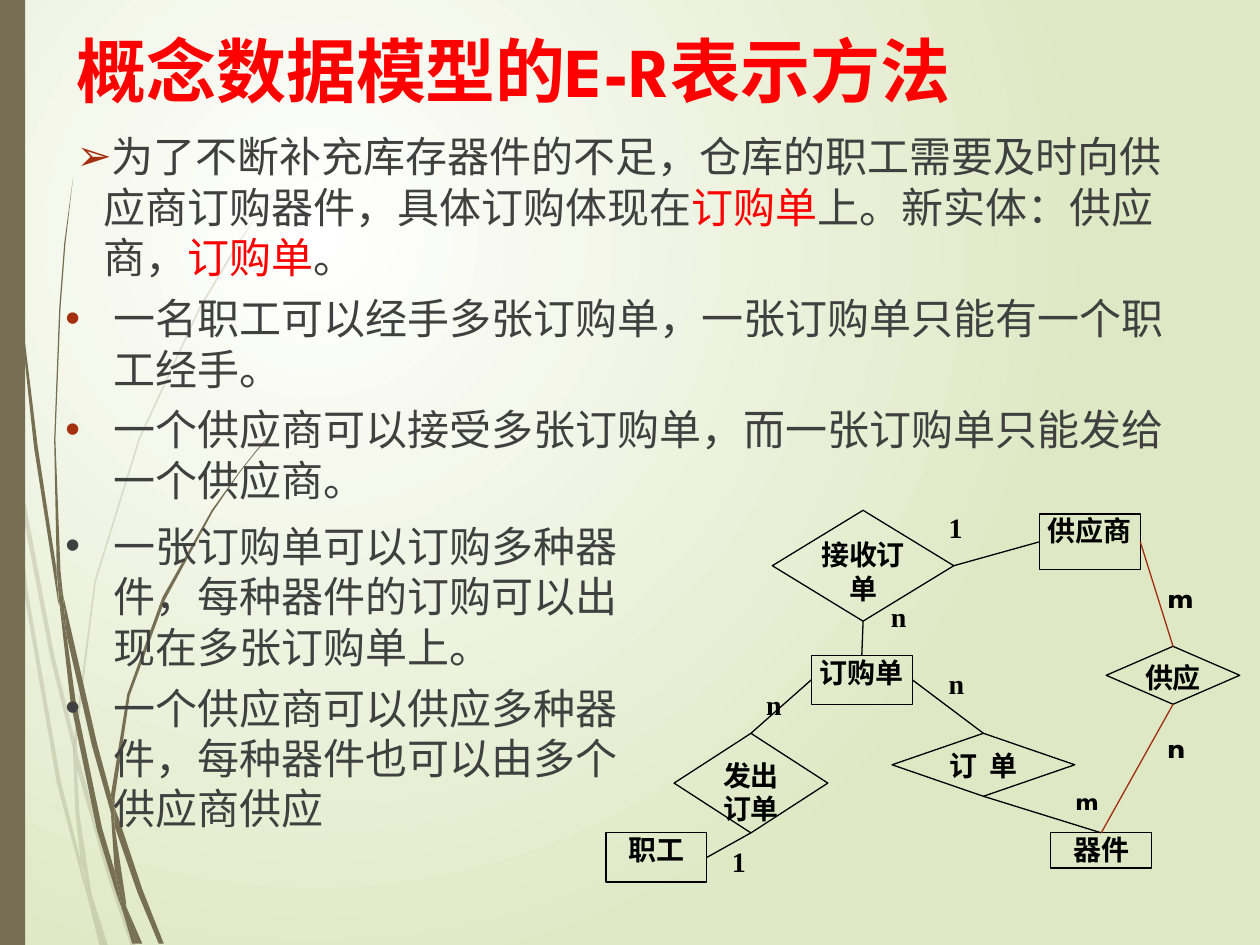
from dataclasses import dataclass
from typing import Optional

from lxml.etree import SubElement
from pptx import Presentation
from pptx.dml.color import RGBColor
from pptx.enum.shapes import MSO_CONNECTOR, MSO_SHAPE
from pptx.enum.text import MSO_ANCHOR, PP_ALIGN
from pptx.oxml import parse_xml
from pptx.oxml.ns import nsdecls, qn
from pptx.util import Inches, Pt

COLUMNS, ROWS = 1000, 750
WIDTH, HEIGHT = Inches(10), Inches(7.5)
SANS, SERIF = "League Spartan", "Times New Roman"
OLIVE, BLACK, GREY, RED = "766F54", "000000", "404040", "FF0000"
RUST, BRICK = "A53010", "9E2E0F"
TOP, LEFT, BOTTOM, RIGHT = range(4)
RECT, DIAMOND = MSO_SHAPE.RECTANGLE, MSO_SHAPE.DIAMOND


@dataclass
class Area:
    column: float
    row: float
    columns: float
    rows: float

    def box(self) -> tuple[int, int, int, int]:
        across, down = WIDTH / COLUMNS, HEIGHT / ROWS
        return (round(self.column * across), round(self.row * down),
                round(self.columns * across), round(self.rows * down))


@dataclass
class Node:
    text: str
    kind: MSO_SHAPE
    area: Area


@dataclass
class Link:
    start: str
    start_side: int
    end: str
    end_side: int
    color: str = BLACK


@dataclass
class Label:
    texts: list[str]
    area: Area
    font: str = SERIF
    size: int = 16
    inset: float = 0
    wrap: bool = True
    gap: int = 0


@dataclass
class Item:
    pieces: list[tuple[str, str]]
    bullet: str = "•"
    bullet_color: Optional[str] = RUST
    margin: float = 0.38
    indent: float = -0.38


FAINT_STALKS = [
    [(8, 350), (6, 322), (0, 282), (0, 299), (7, 344)],
    [(40, 522), (59, 599), (59, 586), (43, 520), (10, 345), (12, 376)],
    [(64, 607), (61, 596), (61, 610), (85, 694), (104, 751), (108, 751), (88, 692)],
    [(83, 751), (86, 751), (73, 711)],
    [(64, 683), (48, 619), (22, 469), (12, 376), (8, 350), (19, 470), (45, 621),
     (64, 693), (70, 714), (69, 707)],
    [(58, 599), (60, 646), (64, 683), (67, 692), (73, 711), (72, 706), (63, 646),
     (61, 610), (61, 608)],
    [(61, 584), (76, 462), (111, 349), (159, 245), (187, 198), (201, 175), (217, 154),
     (217, 153), (201, 175), (186, 197), (158, 244), (110, 348), (75, 461), (59, 584),
     (59, 586), (61, 596)],
    [(70, 714), (79, 751), (82, 751)],
    [(61, 608), (61, 610), (61, 596), (59, 586), (58, 599)],
    [(67, 692), (65, 683), (69, 707), (70, 714), (82, 751), (83, 751), (73, 711)],
]
SOLID_STALKS = [
    [(5, 110), (14, 233), (27, 355), (46, 477), (47, 481), (45, 457), (45, 453),
     (30, 355), (15, 232), (6, 109), (4, 48), (3, 0), (2, 0), (3, 48)],
    [(73, 592), (88, 645), (88, 633), (88, 631), (77, 590), (50, 472), (53, 505)],
    [(94, 649), (91, 641), (91, 656), (109, 708), (126, 749), (130, 749), (113, 706)],
    [(91, 691), (81, 657), (60, 556), (53, 505), (47, 477), (56, 557), (77, 659),
     (92, 708), (97, 722), (96, 717)],
    [(50, 472), (48, 453), (44, 349), (48, 245), (52, 193), (58, 141), (57.5, 141),
     (51, 193), (47, 245), (43, 349), (45, 449), (49, 472)],
    [(110, 749), (113, 749), (100, 719)],
    [(47, 477), (53, 505), (50, 472), (49, 472), (45, 449), (45, 453)],
    [(91, 633), (103, 552), (131, 476), (169, 406), (191, 374), (203, 359), (216, 344),
     (215, 344), (203, 358), (191, 373), (168, 405), (129, 474), (101, 551), (88, 631),
     (91, 641)],
    [(97, 722), (105, 749), (108, 749)],
    [(88, 645), (91, 691), (96, 706), (100, 719), (100, 716), (91, 656), (90, 651)],
    [(88, 645), (90, 651), (91, 656), (91, 641), (88, 631), (88, 633)],
    [(96, 706), (91, 691), (96, 717), (97, 722), (108, 749), (110, 749), (100, 719)],
]

NODES = [
    Node("器件", RECT, Area(834, 661, 80, 28)),
    Node("供应商", RECT, Area(825, 408, 80, 44)),
    Node("订购单", RECT, Area(644, 520, 80, 39)),
    Node("职工", RECT, Area(481, 661, 80, 39)),
    Node("接收订单", DIAMOND, Area(613, 405, 144, 88)),
    Node("订  单", DIAMOND, Area(708, 582, 145, 50)),
    Node("发出订单", DIAMOND, Area(535, 582, 122, 79)),
    Node("供应", DIAMOND, Area(878, 513, 106, 46)),
]
LINKS = [
    Link("职工", RIGHT, "发出订单", BOTTOM),
    Link("供应商", LEFT, "接收订单", RIGHT),
    Link("接收订单", BOTTOM, "订购单", TOP),
    Link("发出订单", TOP, "订购单", LEFT),
    Link("订购单", RIGHT, "订  单", TOP),
    Link("订  单", BOTTOM, "器件", TOP),
    Link("供应商", RIGHT, "供应", TOP, BRICK),
    Link("供应", BOTTOM, "器件", TOP, BRICK),
]
LABELS = [
    Label(["1"], Area(581, 670, 16, 23)),
    Label(["n"], Area(707, 476, 16, 28)),
    Label(["n"], Area(608, 546, 16, 23)),
    Label(["n"], Area(753, 529, 16, 23)),
    Label(["1"], Area(753, 405, 16, 28)),
    Label(["m"], Area(844, 616, 80, 41), SANS, 16, 0.1),
    Label(["m", "n"], Area(917, 453, 50, 181), SANS, 18, 0.1, False, 64),
]
UPPER_ITEMS = [
    Item([("为了不断补充库存器件的不足，仓库的职工需要及时向供应商订购器件，具体订购体现在", GREY),
          ("订购单", RED), ("上。新实体：供应商，", GREY), ("订购单", RED), ("。", GREY)],
         "➢", RUST, 0.3, -0.21),
    Item([("一名职工可以经手多张订购单，一张订购单只能有一个职工经手。", GREY)]),
    Item([("一个供应商可以接受多张订购单，而一张订购单只能发给一个供应商。", GREY)]),
]
LOWER_ITEMS = [
    Item([("一张订购单可以订购多种器件，每种器件的订购可以出现在多张订购单上。", GREY)],
         bullet_color=None),
    Item([("一个供应商可以供应多种器件，每种器件也可以由多个供应商供应", GREY)],
         bullet_color=None),
]


def paint(color_format, value: str) -> None:
    color_format.rgb = RGBColor.from_string(value)


def set_font(paragraph, name: str, size: int, color: str, bold: bool = False) -> None:
    paragraph.font.name, paragraph.font.size = name, Pt(size)
    paragraph.font.bold = bold
    paint(paragraph.font.color, color)


def set_frame(frame, side: float, edge: float, wrap: bool = True) -> None:
    frame.word_wrap = wrap
    frame.vertical_anchor = MSO_ANCHOR.TOP
    frame.margin_left = frame.margin_right = Inches(side)
    frame.margin_top = frame.margin_bottom = Inches(edge)


def add_background(slide) -> None:
    fill = slide.background.fill
    fill.gradient()
    for stop, value, position in zip(fill.gradient_stops, ("FFFFFF", "DFE8C4"), (0, 1)):
        paint(stop.color, value)
        stop.position = position
    gradient = slide.background._cSld.bg.bgPr.find(qn("a:gradFill"))
    gradient.remove(gradient.find(qn("a:lin")))
    gradient.append(parse_xml(
        f'<a:path {nsdecls("a")} path="circle">'
        '<a:fillToRect l="50000" t="50000" r="100000" b="100000"/></a:path>'))


def add_stalks(shapes, outlines: list, opacity: int = 100) -> None:
    for start, *rest in outlines:
        builder = shapes.build_freeform(*start, scale=WIDTH / COLUMNS)
        builder.add_line_segments(rest, close=True)
        stalk = builder.convert_to_shape()
        fill_plain(stalk, OLIVE)
        if opacity < 100:
            tint = stalk._element.spPr.find(qn("a:solidFill"))[0]
            SubElement(tint, qn("a:alpha")).set("val", str(opacity * 1000))


def fill_plain(shape, color: str) -> None:
    shape.shadow.inherit = False
    shape.fill.solid()
    paint(shape.fill.fore_color, color)
    shape.line.fill.background()


def add_items(shapes, area: Area, items: list[Item]) -> None:
    frame = shapes.add_textbox(*area.box()).text_frame
    set_frame(frame, 0.1, 0.05)
    for number, item in enumerate(items):
        paragraph = frame.add_paragraph() if number else frame.paragraphs[0]
        properties = paragraph._p.get_or_add_pPr()
        properties.set("marL", str(Inches(item.margin)))
        properties.set("indent", str(Inches(item.indent)))
        if item.bullet_color:
            tint = SubElement(properties, qn("a:buClr"))
            SubElement(tint, qn("a:srgbClr")).set("val", item.bullet_color)
        SubElement(properties, qn("a:buFont")).set("typeface", "Arial")
        SubElement(properties, qn("a:buChar")).set("char", item.bullet)
        paragraph.space_before = Pt(6 if number else 0)
        set_font(paragraph, SANS, 24, GREY)
        for text, color in item.pieces:
            run = paragraph.add_run()
            run.text = text
            if color != GREY:
                paint(run.font.color, color)


def add_title(shapes, area: Area, text: str) -> None:
    frame = shapes.add_textbox(*area.box()).text_frame
    set_frame(frame, 0.05, 0.05)
    frame.text = text
    set_font(frame.paragraphs[0], SANS, 40, RED, True)


def add_node(shapes, node: Node):
    shape = shapes.add_shape(node.kind, *node.area.box())
    shape.shadow.inherit = False
    shape.fill.background()
    paint(shape.line.color, BLACK)
    shape.line.width = Pt(0.75)
    set_frame(shape.text_frame, 0, 0)
    shape.text_frame.text = node.text
    paragraph = shape.text_frame.paragraphs[0]
    paragraph.alignment = PP_ALIGN.CENTER
    set_font(paragraph, SERIF, 16, BLACK, True)
    return shape


def add_link(shapes, link: Link, drawn: dict) -> None:
    line = shapes.add_connector(MSO_CONNECTOR.STRAIGHT, 0, 0, 0, 0)
    line.begin_connect(drawn[link.start], link.start_side)
    line.end_connect(drawn[link.end], link.end_side)
    paint(line.line.color, link.color)
    line.line.width = Pt(0.75)
    SubElement(line._element.spPr, qn("a:effectLst"))


def add_label(shapes, label: Label) -> None:
    frame = shapes.add_textbox(*label.area.box()).text_frame
    set_frame(frame, label.inset, label.inset / 2, label.wrap)
    frame.text = "\n".join(label.texts)
    for number, paragraph in enumerate(frame.paragraphs):
        paragraph.space_before = Pt(label.gap if number else 0)
        set_font(paragraph, label.font, label.size, BLACK, True)


def main() -> None:
    deck = Presentation()
    deck.slide_width, deck.slide_height = WIDTH, HEIGHT
    slide = deck.slides.add_slide(deck.slide_layouts[6])
    shapes = slide.shapes
    add_background(slide)
    add_stalks(shapes.add_group_shape().shapes, FAINT_STALKS, 20)
    add_stalks(shapes.add_group_shape().shapes, SOLID_STALKS)
    fill_plain(shapes.add_shape(RECT, *Area(0, 0, 20, ROWS).box()), OLIVE)
    add_items(shapes, Area(42, 99, 915, 326), UPPER_ITEMS)
    add_title(shapes, Area(43, 17, 902, 90), " 概念数据模型的E-R表示方法")
    diagram = shapes.add_group_shape().shapes
    drawn = {node.text: add_node(diagram, node) for node in NODES}
    for link in LINKS:
        add_link(diagram, link, drawn)
    for label in LABELS:
        add_label(diagram, label)
    add_items(shapes, Area(42, 408, 467, 261), LOWER_ITEMS)
    deck.save("out.pptx")


if __name__ == "__main__":
    main()
